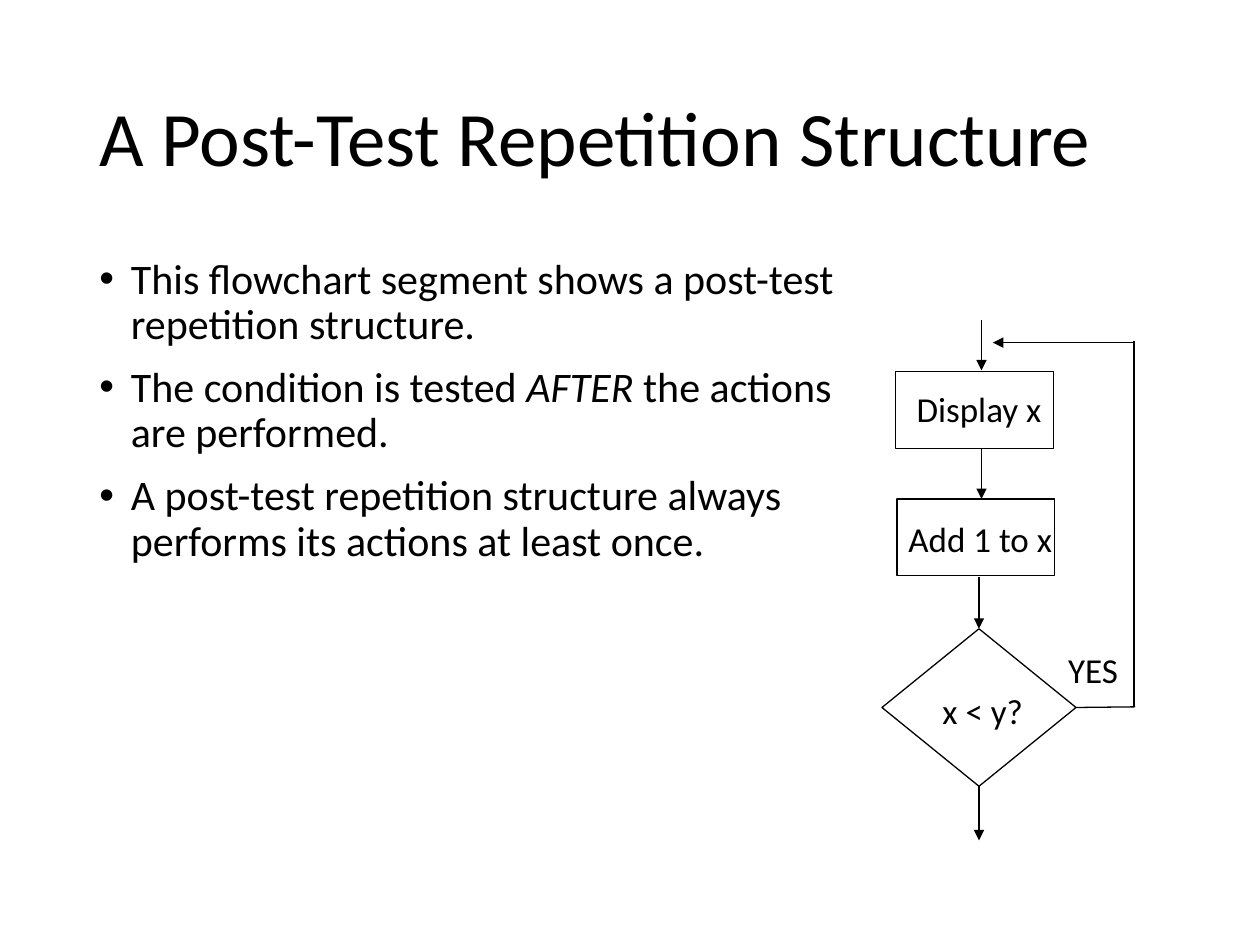
import pptx
import pptx.util
import pptx.dml.color
import pptx.enum.shapes
import pptx.enum.text
import pptx.oxml.ns
import lxml.etree

Inches = pptx.util.Inches
Pt = pptx.util.Pt
qn = pptx.oxml.ns.qn
Kind = pptx.enum.shapes.MSO_SHAPE
Align = pptx.enum.text.PP_ALIGN
Anchor = pptx.enum.text.MSO_ANCHOR
Fit = pptx.enum.text.MSO_AUTO_SIZE

THEME = {
    "font": "Calibri",
    "ink": pptx.dml.color.RGBColor(0, 0, 0),
    "paper": pptx.dml.color.RGBColor(255, 255, 255),
    "title": Pt(44), "body": Pt(24), "label": Pt(20),
    "stroke": Pt(0.75),
}

TITLE = "A Post-Test Repetition Structure"
BULLETS = [
    [[("This flowchart segment shows a post-test", False)],
     [("repetition structure.", False)]],
    [[("The condition is tested ", False), ("AFTER", True), (" the actions", False)],
     [("are performed.", False)]],
    [[("A post-test repetition structure always", False)],
     [("performs its actions at least once.", False)]],
]
NODES = {
    "display": (Kind.RECTANGLE, 7.11, 2.95, 1.25, 0.61),
    "increment": (Kind.RECTANGLE, 7.12, 3.96, 1.25, 0.61),
    "decision": (Kind.FLOWCHART_DECISION, 7, 4.99, 1.54, 1.25),
}
LABELS = [
    ("Display x", 7.06, 3.03, 1.42),
    ("Add 1 to x", 7.07, 4.06, 1.42),
    ("YES", 8.25, 5.1, 0.85),
    ("x < y?", 7.28, 5.42, 1.04),
]
LABEL_HEIGHT = 0.43
TOP, RIGHT, BOTTOM = 0, 3, 2
FLOWS = [
    {"points": (7.79, 2.54, 7.79, 2.94), "arrow": True},
    {"points": (7.79, 3.56, 7.79, 3.96), "arrow": True},
    {"points": (7.77, 4.58, 7.77, 4.99), "arrow": True, "end": ("decision", TOP)},
    {"points": (7.77, 6.24, 7.77, 6.67), "arrow": True, "begin": ("decision", BOTTOM)},
    {"points": (8.54, 5.61, 9.01, 5.61), "begin": ("decision", RIGHT)},
    {"points": (9, 5.61, 9, 2.71)},
    {"points": (9.01, 2.72, 7.88, 2.72), "arrow": True},
]


def apply(target, formats):
    for name, value in formats.items():
        setattr(target, name, value)


def add_span(para, text, size, italic=False):
    span = para.add_run()
    span.text = text
    apply(span.font, {"name": THEME["font"], "size": size, "italic": italic})
    span.font.color.rgb = THEME["ink"]


def add_text_box(page, place, formats):
    box = page.shapes.add_textbox(*map(Inches, place))
    apply(box.text_frame, {"word_wrap": True, **formats})
    return box.text_frame


def add_bullet(para, lines):
    apply(para, {"line_spacing": 0.9, "space_before": Pt(10)})
    properties = para._p.get_or_add_pPr()
    properties.set("marL", str(Inches(0.25)))
    properties.set("indent", str(-Inches(0.25)))
    lxml.etree.SubElement(properties, qn("a:buFont")).set("typeface", "Arial")
    lxml.etree.SubElement(properties, qn("a:buChar")).set("char", "•")
    for index, line in enumerate(lines):
        if index:
            para.add_line_break()
        for text, italic in line:
            add_span(para, text, THEME["body"], italic)


def style_line(line):
    line.color.rgb = THEME["ink"]
    line.width = THEME["stroke"]


def add_node(page, kind, *place):
    node = page.shapes.add_shape(kind, *map(Inches, place))
    node.shadow.inherit = False
    node.fill.background()
    style_line(node.line)
    return node


def add_flow(page, nodes, flow):
    link = page.shapes.add_connector(
        pptx.enum.shapes.MSO_CONNECTOR.STRAIGHT, *map(Inches, flow["points"]))
    style_line(link.line)
    for side, connect in (("begin", link.begin_connect), ("end", link.end_connect)):
        if side in flow:
            name, site = flow[side]
            connect(nodes[name], site)
    if flow.get("arrow"):
        outline = link.line._get_or_add_ln()
        lxml.etree.SubElement(outline, qn("a:tailEnd")).set("type", "triangle")
    lxml.etree.SubElement(link._element.spPr, qn("a:effectLst"))


def main():
    deck = pptx.Presentation()
    apply(deck, {"slide_width": Inches(10), "slide_height": Inches(7.5)})
    page = deck.slides.add_slide(deck.slide_layouts[6])
    page.background.fill.solid()
    page.background.fill.fore_color.rgb = THEME["paper"]

    frame = add_text_box(page, (0.69, 0.4, 8.62, 1.45), {"vertical_anchor": Anchor.MIDDLE})
    frame.paragraphs[0].line_spacing = 0.9
    add_span(frame.paragraphs[0], TITLE, THEME["title"])

    frame = add_text_box(page, (0.69, 2, 8.62, 4.76), {"vertical_anchor": Anchor.TOP})
    for index, lines in enumerate(BULLETS):
        add_bullet(frame.add_paragraph() if index else frame.paragraphs[0], lines)

    nodes = {name: add_node(page, *node) for name, node in NODES.items()}
    for flow in FLOWS:
        add_flow(page, nodes, flow)
    for text, left, top, width in LABELS:
        frame = add_text_box(page, (left, top, width, LABEL_HEIGHT),
                             {"auto_size": Fit.SHAPE_TO_FIT_TEXT})
        frame.paragraphs[0].alignment = Align.CENTER
        add_span(frame.paragraphs[0], text, THEME["label"])

    deck.save("out.pptx")


if __name__ == "__main__":
    main()
